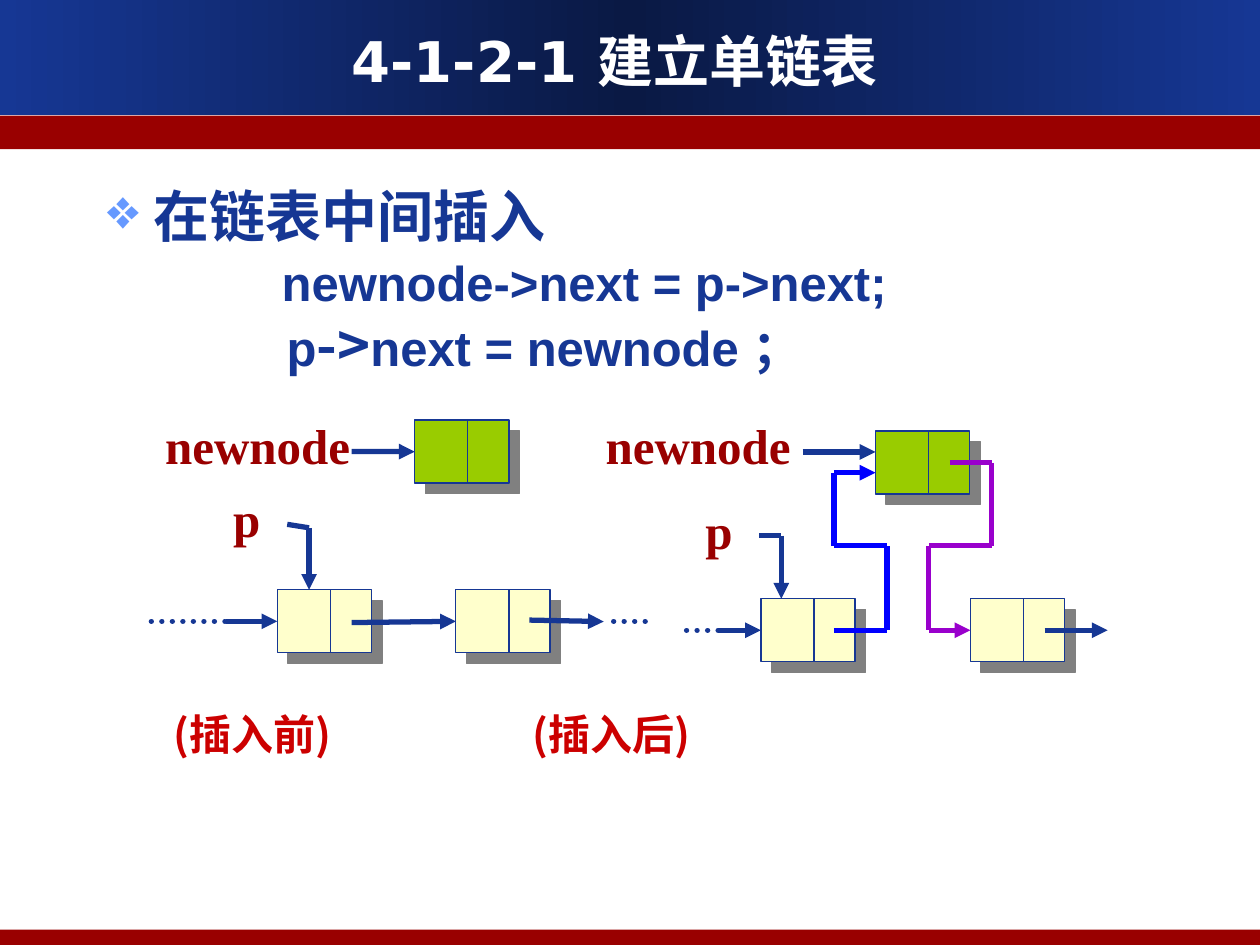
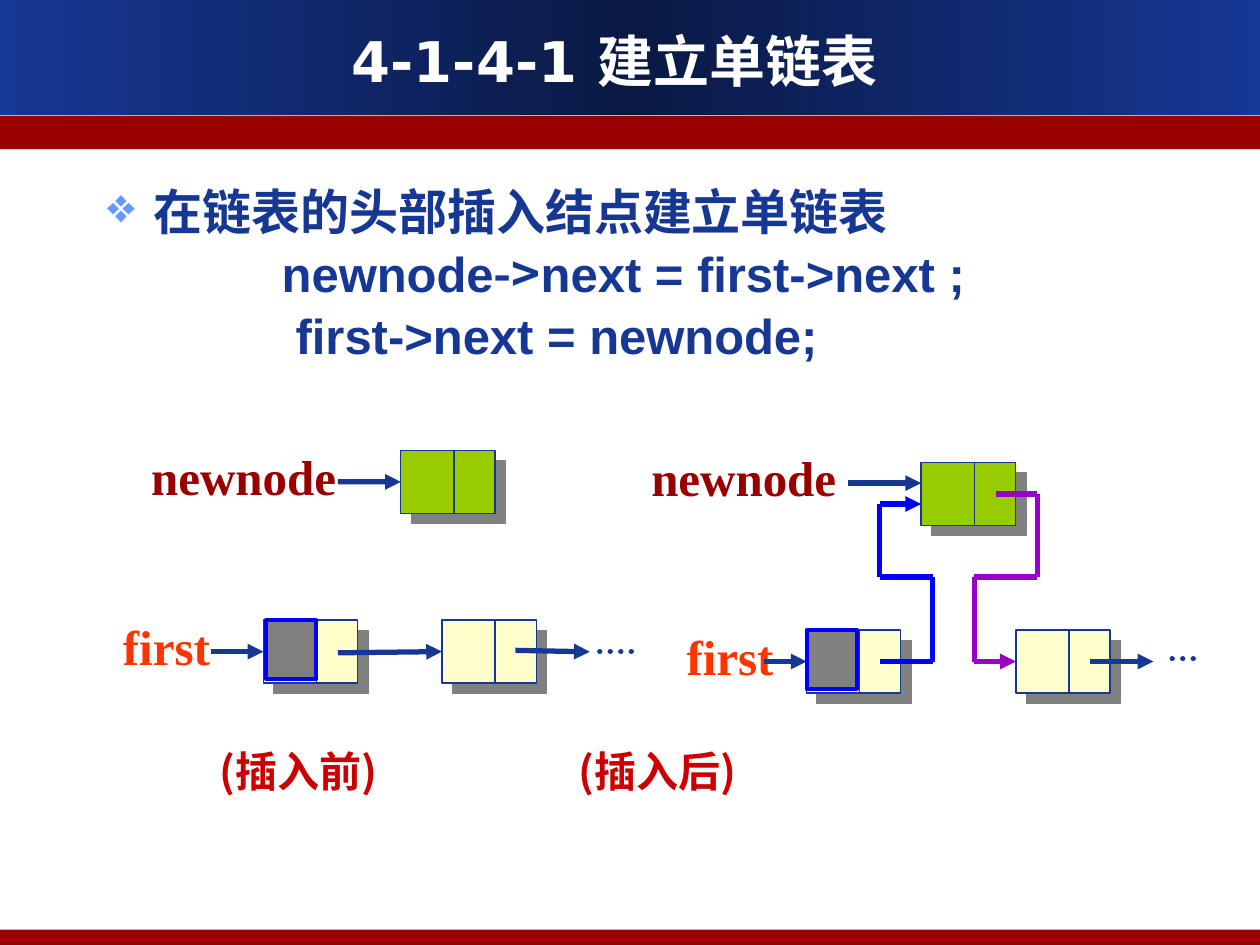
from copy import deepcopy
from dataclasses import dataclass

from lxml import etree
from pptx import Presentation
from pptx.dml.color import RGBColor
from pptx.enum.dml import MSO_LINE_DASH_STYLE as Dash
from pptx.enum.shapes import MSO_CONNECTOR as Connector
from pptx.enum.shapes import MSO_SHAPE as Preset
from pptx.enum.text import MSO_ANCHOR as Anchor
from pptx.enum.text import PP_ALIGN as Align
from pptx.oxml.ns import qn
from pptx.util import Cm, Pt

NAVY, DEEP_NAVY, RED = "163794", "0A1944", "990000"
BULLET_BLUE, CAPTION_RED, ORANGE = "6699FF", "CC0000", "FF3300"
CREAM, GREEN, GREY, WHITE = "FFFFCC", "99CC00", "808080", "FFFFFF"
BLUE, PURPLE = "0000FF", "9900CC"
SANS, SERIF, TITLE_FONT, CJK = "Arial", "Times New Roman", "DejaVu Sans", "Noto Sans CJK SC"

PAGE_WIDTH, PAGE_HEIGHT = 25.4, 19.05
NODE_WIDTH, NODE_HEIGHT, NODE_SPLIT = 1.9, 1.27, 1.07
MIDDLE = NODE_HEIGHT / 2
CAPTION_GAP = 7.24
Point = tuple[float, float]


@dataclass(frozen=True)
class Span:
    text: str
    size: float = 28
    font: str = SANS


@dataclass(frozen=True)
class CodeLine:
    spans: list[Span]
    indent: float
    space_before: float = 0


@dataclass(frozen=True)
class Route:
    """A bent line; target names the node whose left side it joins."""
    points: list[Point]
    colour: str = NAVY
    arrow: bool = True
    dotted: bool = False
    target: str = ""


@dataclass(frozen=True)
class Entry:
    """The variable through which the list is reached."""
    label: str
    colour: str
    label_at: Point
    label_width: float
    routes: list[Route]
    header_left: float | None = None


@dataclass(frozen=True)
class Diagram:
    """Offsets are measured from the top left of the first node."""
    second_left: float
    new_node: Point
    new_label: Point
    routes: list[Route]


@dataclass(frozen=True)
class Lesson:
    title: str
    heading: Span
    code: list[CodeLine]
    before_at: Point
    after_at: Point
    before_entry: Entry
    after_entry: Entry
    caption_at: Point


def dots(left: float, right: float, top: float = MIDDLE) -> Route:
    return Route([(left, top), (right, top)], arrow=False, dotted=True)


def incoming(left: float) -> Route:
    return Route([(left, MIDDLE), (0, MIDDLE)], target="first")


BEFORE = Diagram(
    second_left=3.6, new_node=(2.77, -3.42), new_label=(-2.51, -3.63),
    routes=[
        Route([(1.5, -2.79), (2.77, -2.79)], target="new"),
        Route([(1.5, 0.66), (3.6, MIDDLE)], target="second"),
        Route([(5.08, 0.61), (6.58, 0.64)]),
        dots(6.78, 7.42),
    ])
AFTER = Diagram(
    second_left=4.22, new_node=(2.31, -3.38), new_label=(-3.38, -3.81),
    routes=[
        Route([(0.84, -2.96), (2.31, -2.96)]),
        Route([(5.72, MIDDLE), (6.99, MIDDLE)]),
        Route([(3.81, -2.74), (4.65, -2.74), (4.65, -1.07), (3.38, -1.07),
               (3.38, MIDDLE), (4.22, MIDDLE)], PURPLE, target="second"),
        Route([(1.47, MIDDLE), (2.54, MIDDLE), (2.54, -1.07), (1.47, -1.07),
               (1.47, -2.54), (2.31, -2.54)], BLUE),
    ])

LESSONS = [
    Lesson(
        "4-1-2-1 建立单链表", Span("在链表中间插入", 32),
        [CodeLine([Span("newnode->next = p->next;")], 3.52, 2),
         CodeLine([Span("p"), Span("->", 32, CJK), Span("next = newnode ；")], 3.62)],
        before_at=(5.59, 11.89), after_at=(15.34, 12.07),
        before_entry=Entry("p", RED, (-1.14, -2.16), 1.2, [
            incoming(-1.04), dots(-2.54, -1.04),
            Route([(0.2, -1.32), (0.64, -1.25), (0.64, 0)])]),
        after_entry=Entry("p", RED, (-1.37, -2.11), 1.2, [
            incoming(-0.86), dots(-1.5, -0.86),
            Route([(-0.03, -1.27), (0.41, -1.27), (0.41, 0)])]),
        caption_at=(3.25, 14.15)),
    Lesson(
        "4-1-4-1 建立单链表", Span("在链表的头部插入结点建立单链表"),
        [CodeLine([Span("newnode"), Span("->", 28, CJK), Span("next = first->next ;")], 3.52, 1.8),
         CodeLine([Span("first->next = newnode;")], 3.8, 1.8)],
        before_at=(5.31, 12.5), after_at=(16.26, 12.7),
        before_entry=Entry("first", ORANGE, (-3.08, -0.2), 2.6, [incoming(-1.06)], 0.05),
        after_entry=Entry("first", ORANGE, (-2.67, -0.2), 2.6,
                          [incoming(-0.86), dots(7.37, 8, 0.58)], 0),
        caption_at=(4.17, 14.91)),
]


def rgb(colour: str) -> RGBColor:
    return RGBColor.from_string(colour)


def shift(origin: Point, offset: Point) -> Point:
    return origin[0] + offset[0], origin[1] + offset[1]


def add_rect(page, at: Point, width: float, height: float, fill: str,
             outline: str = "", weight: float = 0.75):
    rect = page.shapes.add_shape(Preset.RECTANGLE, Cm(at[0]), Cm(at[1]), Cm(width), Cm(height))
    rect.shadow.inherit = False
    rect.fill.solid()
    rect.fill.fore_color.rgb = rgb(fill)
    if outline:
        rect.line.color.rgb = rgb(outline)
        rect.line.width = Pt(weight)
    else:
        rect.line.fill.background()
    return rect


def add_line(page, start: Point, end: Point, colour: str = NAVY, weight: float = 3,
             arrow: bool = False, dotted: bool = False):
    line = page.shapes.add_connector(Connector.STRAIGHT, *map(Cm, start + end))
    line.line.color.rgb = rgb(colour)
    line.line.width = Pt(weight)
    properties = line._element.spPr
    outline = properties.find(qn("a:ln"))
    if dotted:
        line.line.dash_style = Dash.ROUND_DOT
        outline.set("cap", "rnd")
    if arrow:
        etree.SubElement(outline, qn("a:tailEnd"), type="triangle")
    etree.SubElement(properties, qn("a:effectLst"))
    return line


def add_node(page, at: Point, fill: str):
    node = add_rect(page, at, NODE_WIDTH, NODE_HEIGHT, fill, NAVY)
    effects = node._element.spPr.find(qn("a:effectLst"))
    shadow = etree.SubElement(effects, qn("a:outerShdw"), dist=str(Pt(8.5)),
                              dir="2700000", algn="ctr", rotWithShape="0")
    etree.SubElement(shadow, qn("a:srgbClr"), val=GREY)
    add_line(page, shift(at, (NODE_SPLIT, 0)), shift(at, (NODE_SPLIT, NODE_HEIGHT)), weight=0.75)
    return node


def format_span(span, size: float, font: str, colour: str) -> None:
    span.font.size = Pt(size)
    span.font.bold = True
    span.font.color.rgb = rgb(colour)
    span.font.name = font
    etree.SubElement(span._r.get_or_add_rPr(), qn("a:ea"), typeface=CJK)


def add_box(page, at: Point, width: float, height: float):
    box = page.shapes.add_textbox(Cm(at[0]), Cm(at[1]), Cm(width), Cm(height))
    box.text_frame.word_wrap = True
    return box.text_frame


def add_label(page, text: str, at: Point, width: float, height: float,
              size: float, font: str, colour: str):
    frame = add_box(page, at, width, height)
    frame.text = text
    format_span(frame.paragraphs[0].runs[0], size, font, colour)
    return frame


def set_indent(para, left: float, first: float = 0):
    properties = para._p.get_or_add_pPr()
    properties.set("marL", str(Cm(left)))
    properties.set("indent", str(Cm(first)))
    return properties


def add_frame(page, title: str) -> None:
    """Draws the bands and the title that all slides share."""
    header = add_rect(page, (0, 0), PAGE_WIDTH, 2.32, NAVY)
    header.fill.gradient()
    header.fill.gradient_angle = 0
    stops = header._element.spPr.find(".//" + qn("a:gsLst"))
    stops.append(deepcopy(stops[0]))
    for stop, position, colour in zip(header.fill.gradient_stops, (0, 0.5, 1),
                                      (NAVY, DEEP_NAVY, NAVY)):
        stop.position = position
        stop.color.rgb = rgb(colour)
    add_rect(page, (0, 2.33), PAGE_WIDTH, 0.68, RED)
    add_rect(page, (0, 18.74), PAGE_WIDTH, 0.31, RED)
    frame = add_label(page, title, (0.64, 0.41), 23.5, 1.6, 32, TITLE_FONT, WHITE)
    frame.vertical_anchor = Anchor.MIDDLE
    frame.paragraphs[0].alignment = Align.CENTER


def add_body(page, lesson: Lesson) -> None:
    heading = lesson.heading
    frame = add_label(page, heading.text, (1.91, 3.53), 22.6, 6.2,
                      heading.size, heading.font, NAVY)
    properties = set_indent(frame.paragraphs[0], 0.94, -0.94)
    colour = etree.SubElement(properties, qn("a:buClr"))
    etree.SubElement(colour, qn("a:srgbClr"), val=BULLET_BLUE)
    etree.SubElement(properties, qn("a:buChar"), char="❖")
    for code in lesson.code:
        para = frame.add_paragraph()
        set_indent(para, code.indent)
        para.space_before = Pt(code.space_before)
        for part in code.spans:
            span = para.add_run()
            span.text = part.text
            format_span(span, part.size, part.font, NAVY)


def add_route(page, origin: Point, route: Route, nodes: dict) -> None:
    points = [shift(origin, point) for point in route.points]
    for number, (start, end) in enumerate(zip(points, points[1:]), 2):
        last = number == len(points)
        line = add_line(page, start, end, route.colour,
                        arrow=route.arrow and last, dotted=route.dotted)
        if last and route.target:
            line.end_connect(nodes[route.target], 1)


def add_diagram(page, origin: Point, diagram: Diagram, entry: Entry) -> None:
    nodes = {
        "first": add_node(page, origin, CREAM),
        "second": add_node(page, shift(origin, (diagram.second_left, 0)), CREAM),
        "new": add_node(page, shift(origin, diagram.new_node), GREEN),
    }
    add_label(page, "newnode", shift(origin, diagram.new_label), 4.4, 1.45, 28, SERIF, RED)
    add_label(page, entry.label, shift(origin, entry.label_at), entry.label_width, 1.45,
              28, SERIF, entry.colour)
    for route in diagram.routes + entry.routes:
        add_route(page, origin, route, nodes)
    if entry.header_left is not None:
        add_rect(page, shift(origin, (entry.header_left, 0)), 1.02, 1.19, GREY, BLUE, 2.25)


def add_lesson(deck, lesson: Lesson) -> None:
    page = deck.slides.add_slide(deck.slide_layouts[6])
    add_frame(page, lesson.title)
    add_body(page, lesson)
    add_diagram(page, lesson.before_at, BEFORE, lesson.before_entry)
    add_diagram(page, lesson.after_at, AFTER, lesson.after_entry)
    for column, caption in enumerate(("(插入前)", "(插入后)")):
        add_label(page, caption, shift(lesson.caption_at, (column * CAPTION_GAP, 0)),
                  4.4, 1.32, 24, CJK, CAPTION_RED)


def main() -> None:
    deck = Presentation()
    deck.slide_width, deck.slide_height = Cm(PAGE_WIDTH), Cm(PAGE_HEIGHT)
    for lesson in LESSONS:
        add_lesson(deck, lesson)
    deck.save("out.pptx")


if __name__ == "__main__":
    main()
